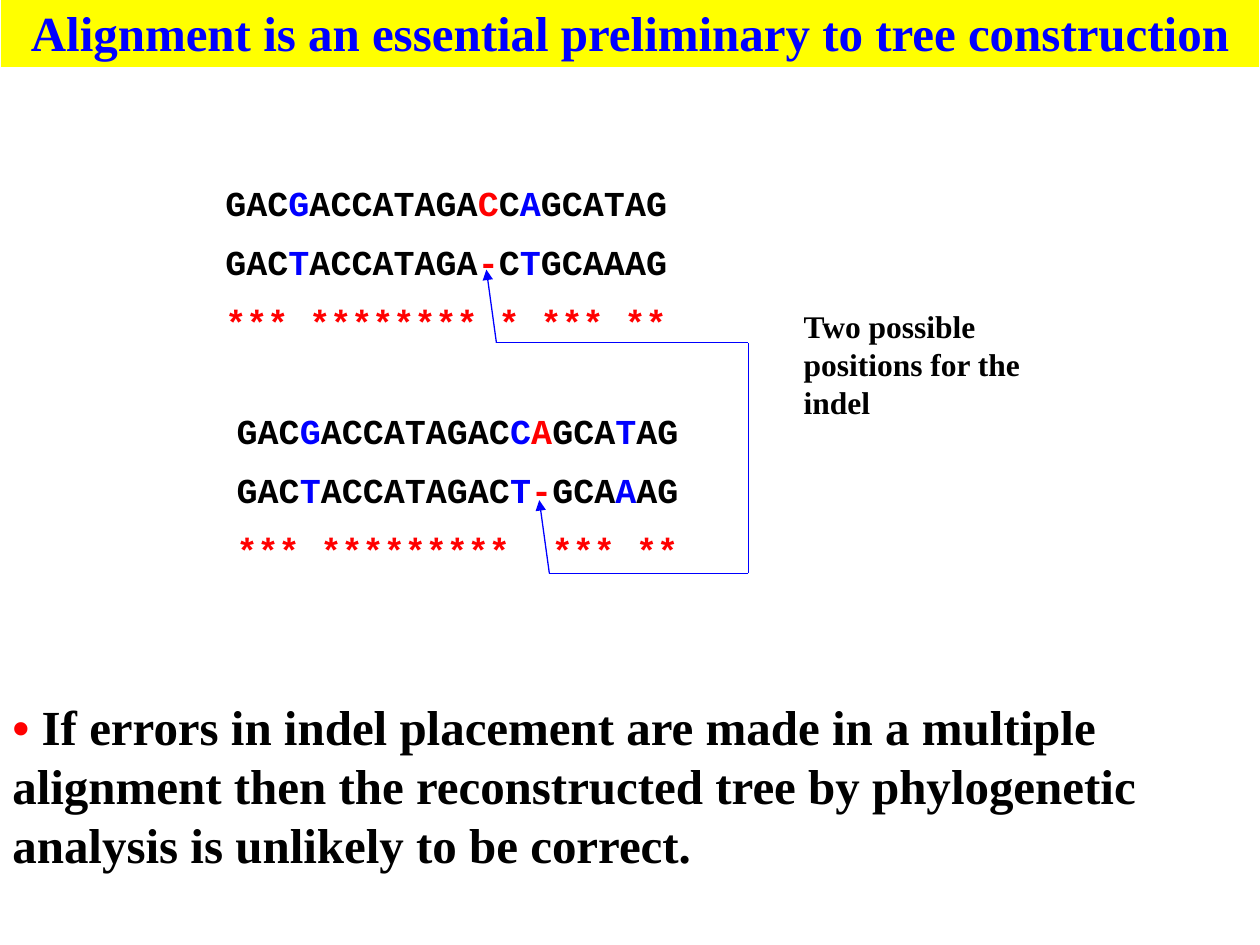
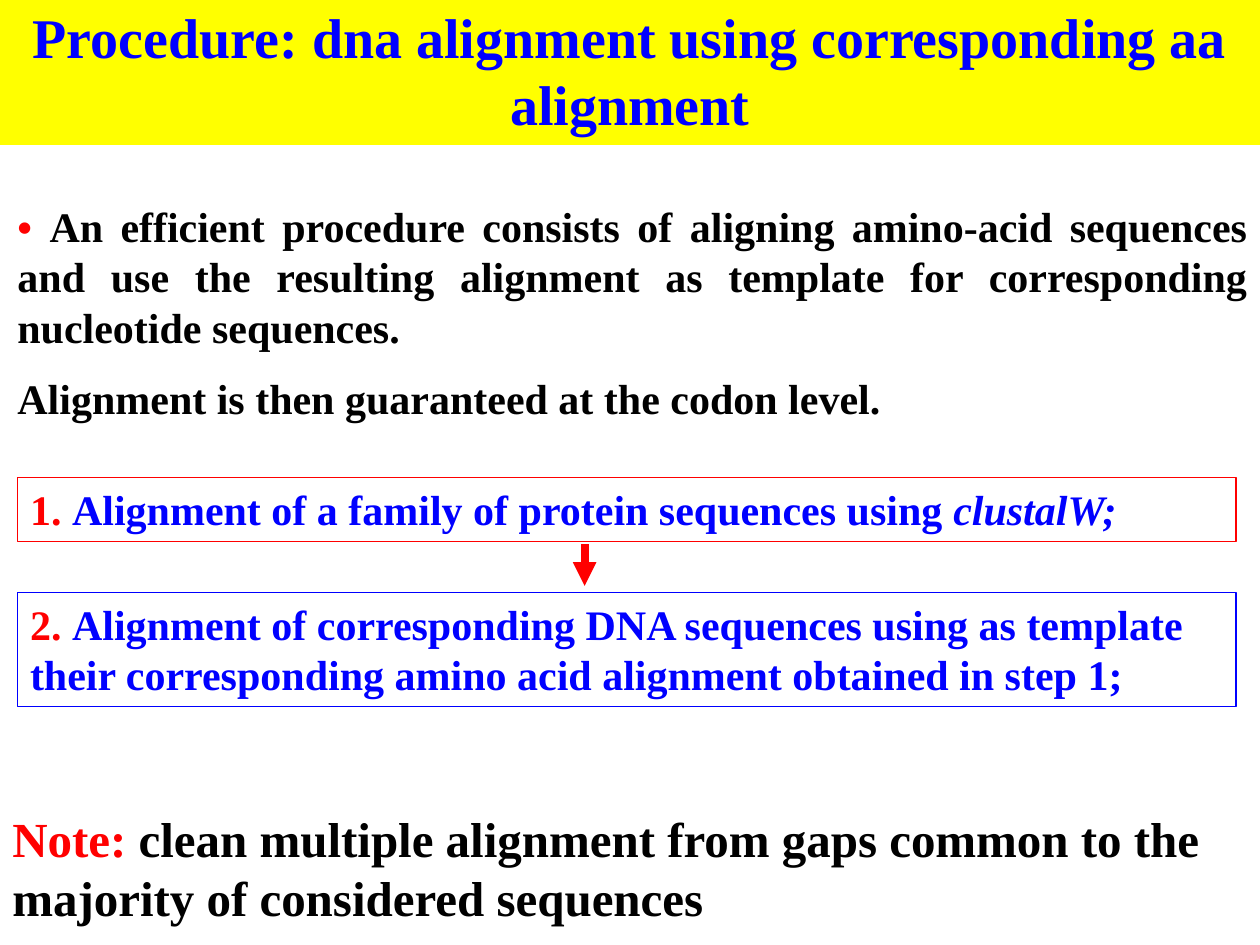
import dataclasses
import itertools

import pptx
import pptx.dml.color
import pptx.enum.shapes
import pptx.enum.text
import pptx.oxml.ns
import pptx.util
from lxml import etree

Inches = pptx.util.Inches
Pt = pptx.util.Pt
RGB = pptx.dml.color.RGBColor
ALIGN = pptx.enum.text.PP_ALIGN


@dataclasses.dataclass(frozen=True)
class Theme:
    black: RGB = RGB(0, 0, 0)
    white: RGB = RGB(255, 255, 255)
    blue: RGB = RGB(0, 0, 255)
    red: RGB = RGB(255, 0, 0)
    yellow: RGB = RGB(255, 255, 0)
    serif: str = "Times New Roman"
    mono: str = "Courier New"
    label: int = 18
    sequence: int = 20
    body: int = 24
    statement: int = 28
    big_title: int = 32
    line: float = 0.75
    arrow: float = 4.5


theme = Theme()


def add_text(box, paragraphs, size, font=theme.serif, align=ALIGN.LEFT):
    """Fill a box with paragraphs, each a list of (text, colour, italic) spans."""
    frame = box.text_frame
    frame.word_wrap = True
    frame.auto_size = pptx.enum.text.MSO_AUTO_SIZE.NONE
    frame.vertical_anchor = pptx.enum.text.MSO_ANCHOR.TOP
    for index, spans in enumerate(paragraphs):
        para = frame.add_paragraph() if index else frame.paragraphs[0]
        para.alignment = align
        para.space_before = Pt(size / 2 if index else 0)
        for text, color, *italic in spans:
            span = para.add_run()
            span.text = text
            span.font.name = font
            span.font.size = Pt(size)
            span.font.bold = True
            span.font.italic = bool(italic)
            span.font.color.rgb = color


def add_line(page, start, end, color=theme.blue, width=theme.line, arrow=False):
    """Draw a straight line, with an arrowhead at its end if asked."""
    line = page.shapes.add_connector(
        pptx.enum.shapes.MSO_CONNECTOR.STRAIGHT,
        *(Inches(value) for value in (*start, *end)))
    line.line.color.rgb = color
    line.line.width = Pt(width)
    if arrow:
        outline = line.line._get_or_add_ln()
        etree.SubElement(outline, pptx.oxml.ns.qn("a:tailEnd"), type="triangle")
    etree.SubElement(line._element.spPr, pptx.oxml.ns.qn("a:effectLst"))


deck = pptx.Presentation()
deck.slide_width, deck.slide_height = Inches(10), Inches(7.5)

# Pages with their title bands
titles = [
    ("Alignment is an essential preliminary to tree construction", 0.57, theme.statement),
    ("Procedure: dna alignment using corresponding aa alignment", 1.18, theme.big_title),
]
pages = []
for title, height, size in titles:
    page = deck.slides.add_slide(deck.slide_layouts[5])
    band = page.shapes.title
    band.left, band.top = Inches(0), Inches(-0.03)
    band.width, band.height = Inches(10), Inches(height)
    band.fill.solid()
    band.fill.fore_color.rgb = theme.yellow
    add_text(band, [[(title, theme.blue)]], size, align=ALIGN.CENTER)
    pages.append(page)
indel_page, procedure_page = pages
indel_page.shapes.title.line.color.rgb = theme.white
indel_page.shapes.title.line.width = Pt(theme.line)

# Closing statements
statements = [
    (indel_page, 5.48, 1.51, "•", " If errors in indel placement are made in a multiple alignment "
     "then the reconstructed tree by phylogenetic analysis is unlikely to be correct."),
    (procedure_page, 6.37, 1.04, "Note:", " clean multiple alignment from gaps common to the "
     "majority of considered sequences"),
]
for page, top, height, lead, text in statements:
    box = page.shapes.add_textbox(Inches(0), Inches(top), Inches(10), Inches(height))
    add_text(box, [[(lead, theme.red), (text, theme.black)]], theme.statement)

# Two alignments: columns of substitutions are blue, the indel column is red
alignments = [
    (1.69, 1.39, {3: theme.blue, 12: theme.red, 14: theme.blue},
     ["GACGACCATAGACCAGCATAG", "GACTACCATAGA-CTGCAAAG"], "*** ******** * *** **"),
    (1.78, 3.2, {3: theme.blue, 13: theme.blue, 14: theme.red, 18: theme.blue},
     ["GACGACCATAGACCAGCATAG", "GACTACCATAGACT-GCAAAG"], "*** *********  *** **"),
]
for left, top, column_colors, sequences, matches in alignments:
    rows = []
    for sequence in sequences:
        columns = itertools.groupby(
            enumerate(sequence), lambda column: column_colors.get(column[0], theme.black))
        rows.append([("".join(base for _, base in group), color) for color, group in columns])
    rows.append([(matches, theme.red)])
    box = indel_page.shapes.add_textbox(Inches(left), Inches(top), Inches(4), Inches(1.43))
    add_text(box, rows, theme.sequence, theme.mono)

# Bracket joining the two indels, and its label
bracket_right = 5.94
elbows = [(3.94, 2.72), (4.36, 4.55)]
for x, y in elbows:
    add_line(indel_page, (x, y), (x - 0.08, y - 0.58), arrow=True)
    add_line(indel_page, (x, y), (bracket_right, y))
add_line(indel_page, (bracket_right, elbows[1][1]), (bracket_right, elbows[0][1]))
label = indel_page.shapes.add_textbox(Inches(6.28), Inches(2.39), Inches(2.08), Inches(1))
add_text(label, [[("Two possible positions for the indel", theme.black)]], theme.label)

# Procedure introduction
intro = procedure_page.shapes.add_textbox(Inches(0.04), Inches(1.54), Inches(9.96), Inches(1.92))
add_text(intro, [
    [("• ", theme.red),
     ("An efficient procedure consists of aligning amino-acid sequences and use the resulting "
      "alignment as template for corresponding nucleotide sequences.", theme.black)],
    [("Alignment is then guaranteed at the codon level.", theme.black)],
], theme.body, align=ALIGN.JUSTIFY)

# Procedure steps
steps = [
    (3.79, 0.51, theme.red, [
        ("1. ", theme.red),
        ("Alignment of a family of protein sequences using ", theme.blue),
        ("clustalW;", theme.blue, True)]),
    (4.7, 0.91, theme.blue, [
        ("2. ", theme.red),
        ("Alignment of corresponding DNA sequences using as template their corresponding "
         "amino acid alignment obtained in step 1;", theme.blue)]),
]
for top, height, border, spans in steps:
    box = procedure_page.shapes.add_shape(
        pptx.enum.shapes.MSO_SHAPE.RECTANGLE,
        Inches(0.14), Inches(top), Inches(9.67), Inches(height))
    box.shadow.inherit = False
    box.fill.background()
    box.line.color.rgb = border
    box.line.width = Pt(theme.line)
    add_text(box, [spans], theme.body)
add_line(procedure_page, (4.64, 4.32), (4.64, 4.65), theme.red, theme.arrow, arrow=True)

deck.save("out.pptx")
